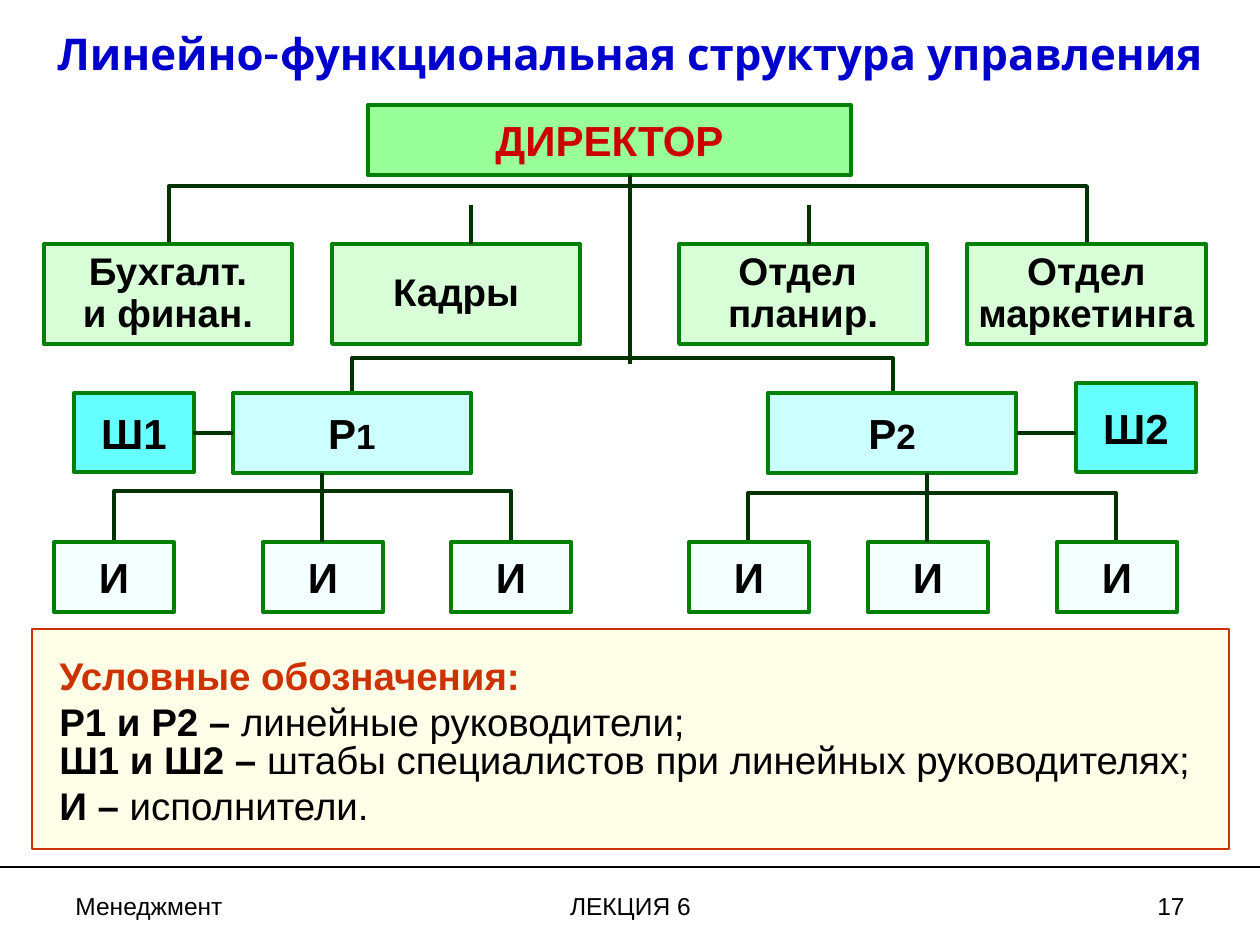
from lxml.etree import SubElement
from pptx import Presentation
from pptx.dml.color import RGBColor
from pptx.enum.shapes import MSO_CONNECTOR, MSO_SHAPE
from pptx.enum.text import MSO_ANCHOR, PP_ALIGN
from pptx.oxml.ns import qn
from pptx.util import Pt

EMU_PER_PX = 914400 / 126
BLACK = RGBColor(0x00, 0x00, 0x00)
BLUE = RGBColor(0x00, 0x00, 0xCC)
RED = RGBColor(0xCC, 0x00, 0x00)
RUST = RGBColor(0xCC, 0x33, 0x00)
CREAM = RGBColor(0xFF, 0xFF, 0xE9)
GREEN = RGBColor(0x00, 0xFF, 0x00)
CYAN = RGBColor(0x00, 0xFF, 0xFF)
PALE_CYAN = RGBColor(0xCC, 0xFF, 0xFF)
BORDER_GREEN = RGBColor(0x00, 0x80, 0x00)
LINK_GREEN = RGBColor(0x00, 0x33, 0x00)


def px(value):
    return round(value * EMU_PER_PX)


def px_all(*values):
    return [px(value) for value in values]


def add_run(paragraph, text, size, color=BLACK, bold=True, font="Arial"):
    run = paragraph.add_run()
    run.text = text
    run.font.name = font
    run.font.size = Pt(size)
    run.font.bold = bold
    run.font.color.rgb = color


def next_paragraph(frame, index):
    return frame.add_paragraph() if index else frame.paragraphs[0]


def add_line(slide, start, end, color=LINK_GREEN, width=2.25):
    line = slide.shapes.add_connector(MSO_CONNECTOR.STRAIGHT, *px_all(*start, *end))
    line.line.color.rgb = color
    line.line.width = Pt(width)
    SubElement(line._element.spPr, qn("a:effectLst"))


def add_bracket(slide, left, right, top, bottom):
    builder = slide.shapes.build_freeform(px(left), px(bottom))
    corners = [(left, top), (right, top), (right, bottom)]
    builder.add_line_segments([px_all(*corner) for corner in corners], close=False)
    bracket = builder.convert_to_shape()
    bracket.shadow.inherit = False
    bracket.fill.background()
    bracket.line.color.rgb = LINK_GREEN
    bracket.line.width = Pt(2.25)


def add_panel(slide, preset, bounds, fill=None, border=None, border_width=2.25):
    shape = slide.shapes.add_shape(preset, *px_all(*bounds))
    shape.shadow.inherit = False
    if preset == MSO_SHAPE.ROUNDED_RECTANGLE:
        shape.adjustments[0] = 0
    if fill is None:
        shape.fill.background()
        shape.line.fill.background()
    else:
        shape.fill.solid()
        shape.fill.fore_color.rgb = fill
        shape.line.color.rgb = border
        shape.line.width = Pt(border_width)
    shape.text_frame.word_wrap = False
    shape.text_frame.vertical_anchor = MSO_ANCHOR.MIDDLE
    return shape


def add_box(slide, bounds, lines, fill, opacity, color=BLACK, spacing=None):
    shape = add_panel(slide, MSO_SHAPE.ROUNDED_RECTANGLE, bounds, fill, BORDER_GREEN)
    fill_color = shape._element.spPr.find(qn("a:solidFill"))[0]
    SubElement(fill_color, qn("a:alpha"), val=str(opacity * 1000))
    for index, runs in enumerate(lines):
        paragraph = next_paragraph(shape.text_frame, index)
        paragraph.alignment = PP_ALIGN.CENTER
        paragraph.line_spacing = spacing
        for text, size in runs:
            add_run(paragraph, text, size, color)


def add_label(slide, bounds, text, size, alignment, **style):
    frame = slide.shapes.add_textbox(*px_all(*bounds)).text_frame
    frame.word_wrap = True
    frame.paragraphs[0].alignment = alignment
    add_run(frame.paragraphs[0], text, size, **style)


def add_director(slide):
    add_box(slide, (368, 105, 483, 70), [[("ДИРЕКТОР", 24)]], GREEN, 40, RED)


def add_departments(slide):
    departments = [
        (44, 248, ["Бухгалт.", "и финан."]),
        (332, 248, ["Кадры"]),
        (679, 248, ["Отдел ", "планир."]),
        (967, 239, ["Отдел", "маркетинга"]),
    ]
    for left, width, names in departments:
        lines = [[(name, 22)] for name in names]
        add_box(slide, (left, 244, width, 100), lines, GREEN, 15, spacing=0.9)


def add_managers(slide):
    for number, left, width in [("1", 233, 238), ("2", 768, 248)]:
        lines = [[("Р", 24), (number, 20)]]
        add_box(slide, (left, 393, width, 80), lines, CYAN, 20)
    for name, left, top in [("Ш1", 74, 393), ("Ш2", 1076, 383)]:
        add_box(slide, (left, top, 120, 472 - top), [[(name, 24)]], CYAN, 60)


def add_performers(slide):
    for left in (54, 263, 451, 689, 868, 1057):
        add_box(slide, (left, 542, 120, 70), [[("И", 24)]], PALE_CYAN, 20)


def add_links(slide):
    add_line(slide, (630, 175), (630, 364))
    for x in (471, 809):
        add_line(slide, (x, 205), (x, 244))
    for x in (322, 927):
        add_line(slide, (x, 473), (x, 542))
    for left, right in [(193, 233), (1017, 1076)]:
        add_line(slide, (left, 433), (right, 433))


def add_legend(slide):
    add_panel(slide, MSO_SHAPE.RECTANGLE, (32, 629, 1197, 220), CREAM, RUST, 1.5)
    frame = add_panel(slide, MSO_SHAPE.ROUNDED_RECTANGLE, (47, 609, 1172, 262)).text_frame
    entries = [
        ("Условные обозначения:", "", RUST, None),
        ("Р1 и Р2 – ", "линейные руководители;", BLACK, None),
        ("Ш1 и Ш2 – ", "штабы специалистов при линейных руководителях;", BLACK, 0.8),
        ("И – ", "исполнители.", BLACK, None),
    ]
    for index, (term, meaning, color, spacing) in enumerate(entries):
        paragraph = next_paragraph(frame, index)
        paragraph.alignment = PP_ALIGN.LEFT
        paragraph.line_spacing = spacing
        add_run(paragraph, term, 22, color)
        if meaning:
            add_run(paragraph, meaning, 22, color, bold=False)


def add_footer(slide):
    footers = [
        (63, 294, "Менеджмент", PP_ALIGN.LEFT),
        (431, 399, "ЛЕКЦИЯ 6", PP_ALIGN.CENTER),
        (903, 294, "17", PP_ALIGN.RIGHT),
    ]
    for left, width, text, alignment in footers:
        add_label(slide, (left, 885, width, 43), text, 14, alignment, bold=False)


def main():
    presentation = Presentation()
    presentation.slide_width, presentation.slide_height = px_all(1260, 945)
    slide = presentation.slides.add_slide(presentation.slide_layouts[6])
    add_line(slide, (0, 867), (1260, 867), BLACK, 1.5)
    add_bracket(slide, 169, 1087, 186, 244)
    add_bracket(slide, 352, 893, 358, 393)
    add_bracket(slide, 114, 511, 491, 542)
    add_bracket(slide, 748, 1116, 493, 542)
    add_director(slide)
    add_departments(slide)
    add_managers(slide)
    add_performers(slide)
    add_links(slide)
    add_label(slide, (0, 21, 1260, 66), "Линейно-функциональная структура управления",
              25, PP_ALIGN.CENTER, color=BLUE, font="Karla")
    add_legend(slide)
    add_footer(slide)
    presentation.save("out.pptx")


if __name__ == "__main__":
    main()
